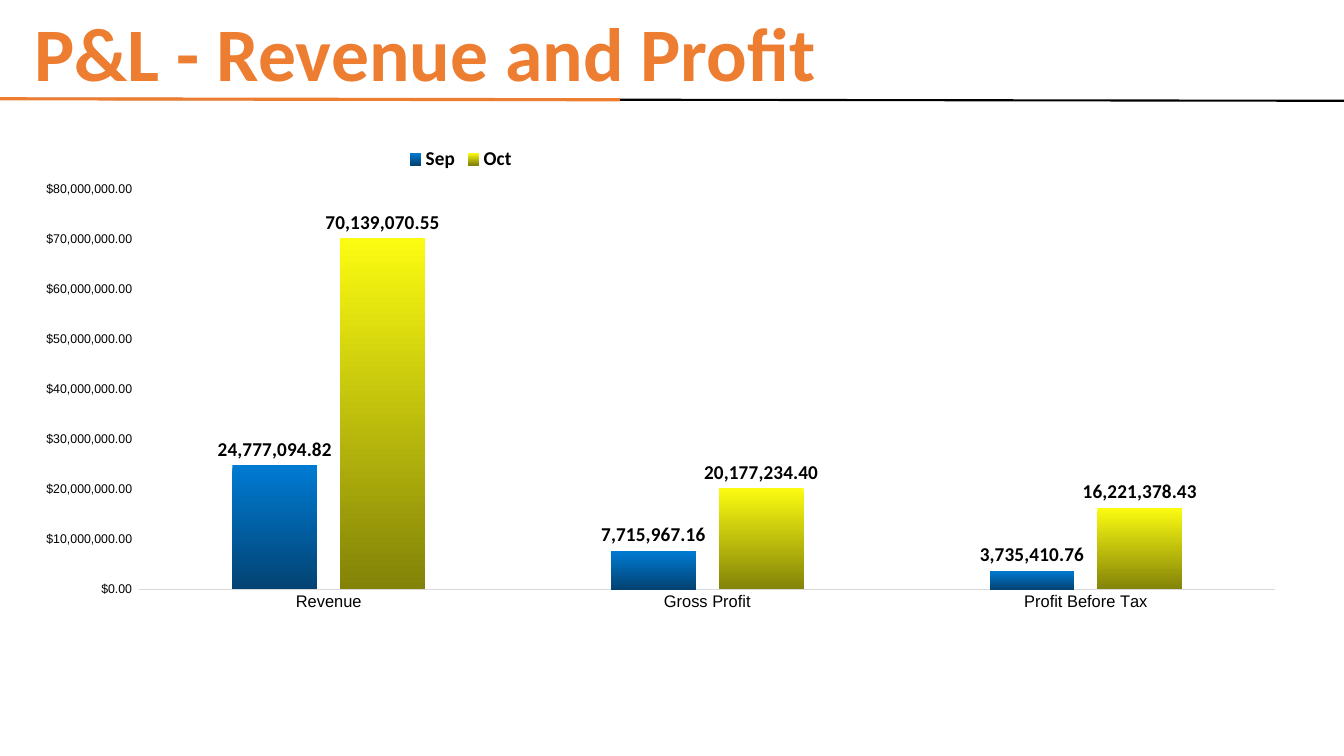
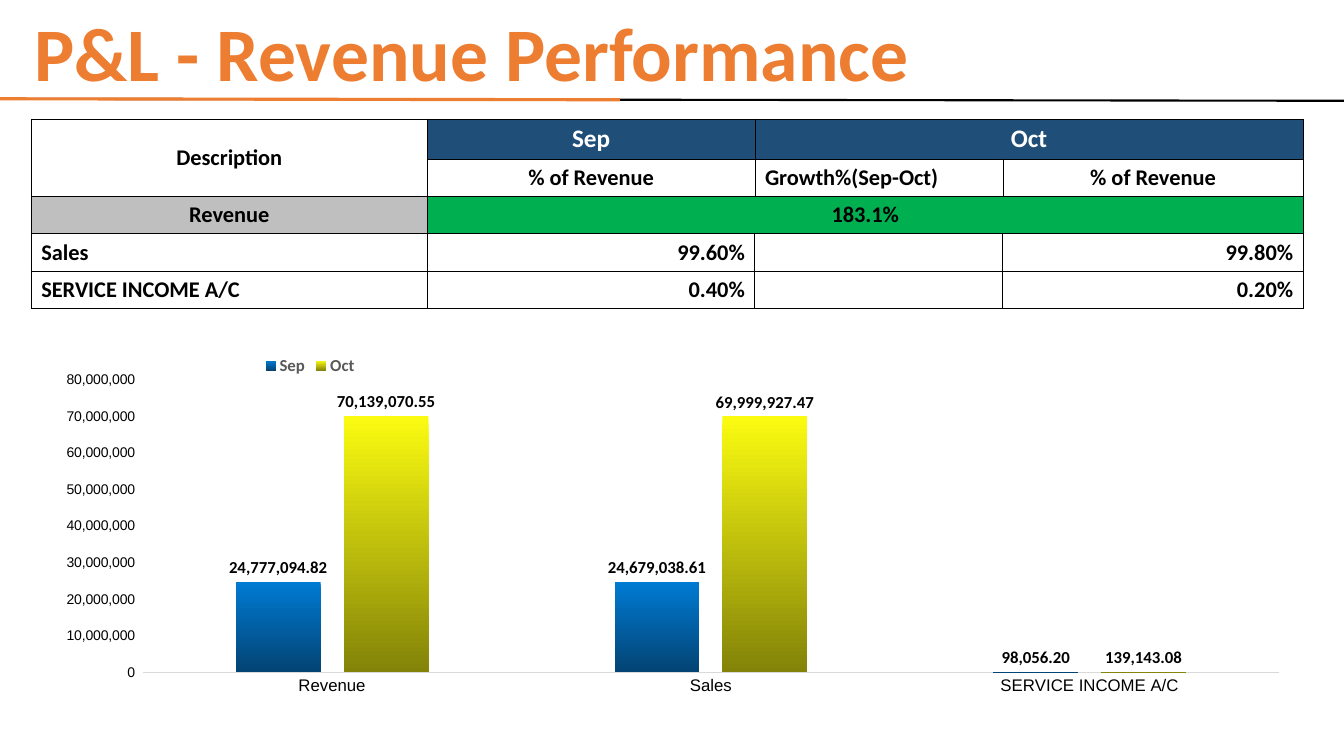
from dataclasses import dataclass

import pptx
import pptx.chart.data
import pptx.dml.color
import pptx.enum.chart
import pptx.enum.shapes
import pptx.enum.text
import pptx.oxml
import pptx.oxml.ns
import pptx.util

SLIDE_WIDTH, SLIDE_HEIGHT = 13.33, 7.5
GRID_COLUMNS, GRID_ROWS = 40, 30
ALIGN = pptx.enum.text.PP_ALIGN


@dataclass(frozen=True)
class Theme:
    # Colours
    accent: str = "ED7D31"
    ink: str = "000000"
    paper: str = "FFFFFF"
    muted: str = "595959"
    axis: str = "D9D9D9"
    header: str = "1F4E78"
    subtotal: str = "BFBFBF"
    growth: str = "00B050"
    gradients: tuple = (("007BD3", "034373"), ("FBFB11", "838309"))
    # Fonts and type sizes
    body_font: str = "Calibri"
    axis_font: str = "Arial"
    title_size: int = 54
    month_size: int = 18
    cell_size: int = 16
    category_size: int = 12
    chart_size: int = 10


THEME = Theme()


@dataclass(frozen=True)
class ChartLook:
    """Places are (left, top, width, height) in grid columns and rows."""
    area: tuple
    plot: tuple
    legend: tuple
    value_format: str
    value_size: int
    label_size: int
    legend_color: str


# Grid and style helpers
def columns(count):
    return pptx.util.Inches(SLIDE_WIDTH * count / GRID_COLUMNS)


def rows(count):
    return pptx.util.Inches(SLIDE_HEIGHT * count / GRID_ROWS)


def place(left, top, width, height):
    return columns(left), rows(top), columns(width), rows(height)


def rgb(color):
    return pptx.dml.color.RGBColor.from_string(color)


def style_font(font, size, color=THEME.ink, bold=False, name=THEME.body_font):
    font.size = pptx.util.Pt(size)
    font.color.rgb = rgb(color)
    font.bold = bold
    font.name = name


# Title and rules shared by both slides
def add_rule(page, start, end, color, weight):
    rule = page.shapes.add_connector(
        pptx.enum.shapes.MSO_CONNECTOR.STRAIGHT,
        columns(start[0]), rows(start[1]), columns(end[0]), rows(end[1]))
    rule.line.color.rgb = rgb(color)
    rule.line.width = pptx.util.Pt(weight)
    rule._element.spPr.append(pptx.oxml.parse_xml(
        f"<a:effectLst {pptx.oxml.ns.nsdecls('a')}/>"))


def add_title(page, text):
    box = page.shapes.add_textbox(*place(0.72, 0.44, 30, 3.64))
    frame = box.text_frame
    frame.word_wrap = True
    frame.vertical_anchor = pptx.enum.text.MSO_ANCHOR.BOTTOM
    para = frame.paragraphs[0]
    para.text = text
    para.line_spacing = 0.9
    style_font(para.font, THEME.title_size, THEME.accent, bold=True)


def add_page(deck, title):
    page = deck.slides.add_slide(deck.slide_layouts[6])
    add_rule(page, (0, 3.92), (GRID_COLUMNS, 4), THEME.ink, 1.5)
    add_title(page, title)
    add_rule(page, (0, 3.92), (18.45, 3.96), THEME.accent, 2.25)
    return page


# Charts
def set_layout(element, index, area, shares, inner=False):
    """Fix a chart part's place, given as shares of the chart's area."""
    for old in element.findall(pptx.oxml.ns.qn("c:layout")):
        element.remove(old)
    target = '<c:layoutTarget val="inner"/>' if inner else ""
    modes = '<c:xMode val="edge"/><c:yMode val="edge"/>'
    values = "".join(
        f'<c:{key} val="{length / whole:.4f}"/>'
        for key, length, whole in zip("xywh", shares, area[2:] * 2))
    element.insert(index, pptx.oxml.parse_xml(
        f"<c:layout {pptx.oxml.ns.nsdecls('c')}><c:manualLayout>"
        f"{target}{modes}{values}</c:manualLayout></c:layout>"))


def style_axes(chart, look):
    no_tick = pptx.enum.chart.XL_TICK_MARK.NONE
    sizes = ((chart.category_axis, THEME.category_size),
             (chart.value_axis, look.value_size))
    for axis, size in sizes:
        axis.major_tick_mark = axis.minor_tick_mark = no_tick
        axis.has_major_gridlines = False
        style_font(axis.tick_labels.font, size, name=THEME.axis_font)
    line = chart.category_axis.format.line
    line.color.rgb = rgb(THEME.axis)
    line.width = pptx.util.Pt(0.75)

    values = chart.value_axis
    values.minimum_scale, values.maximum_scale = 0, 80_000_000
    values.major_unit = 10_000_000
    values.format.line.fill.background()
    values.tick_labels.number_format = look.value_format
    values.tick_labels.number_format_is_linked = False


def style_series(series, gradient, label_size):
    fill = series.format.fill
    fill.gradient()
    fill.gradient_angle = 270
    for stop, color in zip(fill.gradient_stops, gradient):
        stop.color.rgb = rgb(color)
    series.invert_if_negative = False
    labels = series.data_labels
    labels.show_value = True
    labels.position = pptx.enum.chart.XL_LABEL_POSITION.OUTSIDE_END
    labels.number_format = "#,##0.00"
    labels.number_format_is_linked = False
    style_font(labels.font, label_size, bold=True)


def add_column_chart(page, categories, months, look):
    data = pptx.chart.data.CategoryChartData()
    data.categories = categories
    for month, amounts in months.items():
        data.add_series(month, amounts)
    chart = page.shapes.add_chart(
        pptx.enum.chart.XL_CHART_TYPE.COLUMN_CLUSTERED,
        *place(*look.area), data).chart
    chart.has_title = False
    style_font(chart.font, THEME.chart_size)
    style_axes(chart, look)

    plot = chart.plots[0]
    plot.gap_width, plot.overlap = 219, -27
    plot.vary_by_categories = False
    for series, gradient in zip(plot.series, THEME.gradients):
        style_series(series, gradient, look.label_size)
    set_layout(chart._chartSpace.chart.plotArea, 0, look.area, look.plot, True)

    chart.has_legend = True
    legend = chart.legend
    legend.position = pptx.enum.chart.XL_LEGEND_POSITION.BOTTOM
    legend.include_in_layout = False
    style_font(legend.font, look.label_size, look.legend_color, bold=True)
    set_layout(legend._element, 1, look.area, look.legend)


# Table
def set_borders(cell, side, top, bottom):
    weights = {"lnL": side, "lnR": side, "lnT": top, "lnB": bottom}
    properties = cell._tc.get_or_add_tcPr()
    for index, (edge, weight) in enumerate(weights.items()):
        properties.insert(index, pptx.oxml.parse_xml(
            f'<a:{edge} {pptx.oxml.ns.nsdecls("a")} w="{pptx.util.Pt(weight)}">'
            f'<a:solidFill><a:srgbClr val="{THEME.ink}"/></a:solidFill>'
            f"</a:{edge}>"))


def fill_cell(cell, text, align, fill):
    is_month = fill == THEME.header
    cell.fill.solid()
    cell.fill.fore_color.rgb = rgb(fill)
    cell.vertical_anchor = pptx.enum.text.MSO_ANCHOR.MIDDLE
    para = cell.text_frame.paragraphs[0]
    para.text = text
    para.alignment = align
    style_font(para.font, THEME.month_size if is_month else THEME.cell_size,
               THEME.paper if is_month else THEME.ink, bold=True)


def add_revenue_table(page):
    column_spans = (11.79, 9.75, 7.38, 8.94)
    row_spans = (1.6, 1.48, 1.48, 1.48, 1.48)
    texts = (
        ("Description", "Sep", "Oct", ""),
        ("", "% of Revenue", "Growth%(Sep-Oct)", "% of Revenue"),
        ("Revenue", "183.1%", "", ""),
        ("Sales", "99.60%", "", "99.80%"),
        ("SERVICE INCOME A/C", "0.40%", "", "0.20%"),
    )
    heading = (ALIGN.CENTER,) * 4
    figures = (ALIGN.LEFT,) + (ALIGN.RIGHT,) * 3
    aligns = (heading, (ALIGN.CENTER, ALIGN.CENTER, ALIGN.LEFT, ALIGN.CENTER),
              heading, figures, figures)
    plain = (THEME.paper,) * 4
    fills = ((THEME.paper,) + (THEME.header,) * 3, plain,
             (THEME.subtotal,) + (THEME.growth,) * 3, plain, plain)
    merges = (((0, 0), (1, 0)), ((0, 2), (0, 3)), ((2, 1), (2, 3)))
    side_weights = (0.5, 0.5, 0.75, 0.75, 0.75)
    edge_weights = (0.5, 0.5, 0.5, 0.75, 0.75, 1.2)

    frame = page.shapes.add_table(
        len(row_spans), len(column_spans),
        *place(0.93, 4.72, sum(column_spans), sum(row_spans)))
    table = frame.table
    table.first_row = table.horz_banding = False
    for column, span in zip(table.columns, column_spans):
        column.width = columns(span)
    for row, span in zip(table.rows, row_spans):
        row.height = rows(span)
    for r, line in enumerate(texts):
        for c, text in enumerate(line):
            cell = table.cell(r, c)
            fill_cell(cell, text, aligns[r][c], fills[r][c])
            set_borders(cell, side_weights[r], *edge_weights[r:r + 2])
    for first, last in merges:
        table.cell(*first).merge(table.cell(*last))


def main():
    deck = pptx.Presentation()
    deck.slide_width = pptx.util.Inches(SLIDE_WIDTH)
    deck.slide_height = pptx.util.Inches(SLIDE_HEIGHT)

    # Revenue and profit
    page = add_page(deck, "P&L - Revenue and Profit")
    add_column_chart(
        page, ("Revenue", "Gross Profit", "Profit Before Tax"),
        {"Sep": (24777094.82, 7715967.16, 3735410.76),
         "Oct": (70139070.55, 20177234.40, 16221378.43)},
        ChartLook(area=(1.38, 4.92, 37.23, 22.52),
                  plot=(2.01, 2.59, 34.55, 15.88), legend=(10.05, 0.76),
                  value_format=r"[$$-45C]#,##0.00_);[Red]\([$$-45C]#,##0.00\)",
                  value_size=9, label_size=14, legend_color=THEME.ink))

    # Revenue performance
    page = add_page(deck, "P&L - Revenue Performance")
    add_column_chart(
        page, ("Revenue", "Sales", "SERVICE INCOME A/C"),
        {"Sep": (24777094.82, 24679038.61, 98056.20),
         "Oct": (70139070.55, 69999927.47, 139143.08)},
        ChartLook(area=(1.29, 13.28, 37.45, 15.6),
                  plot=(2.96, 1.79, 33.82, 11.62), legend=(6.45, 0.68),
                  value_format=r"#,##0_);[Red]\(#,##0\)",
                  value_size=10, label_size=12, legend_color=THEME.muted))
    add_revenue_table(page)

    deck.save("out.pptx")


if __name__ == "__main__":
    main()
